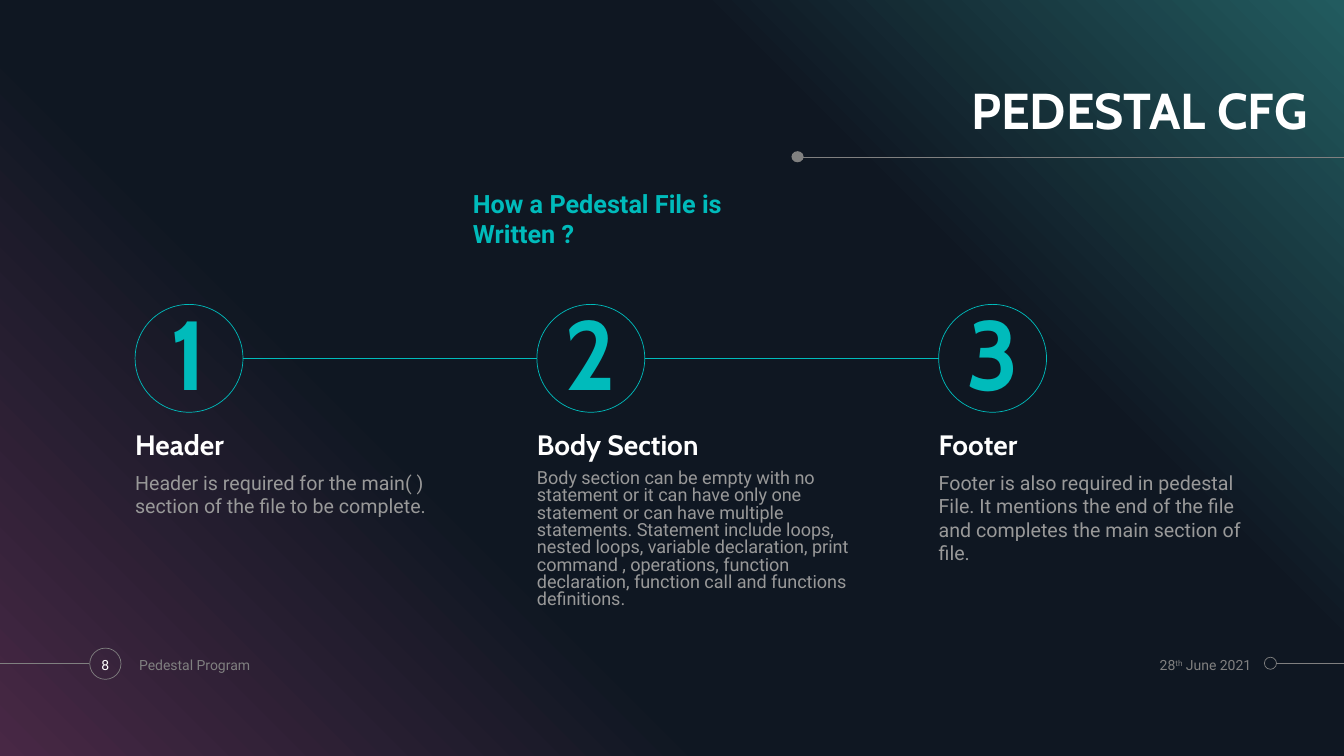
from dataclasses import dataclass

from lxml import etree
from pptx import Presentation
from pptx.dml.color import RGBColor
from pptx.enum import shapes, text
from pptx.oxml import ns
from pptx.util import Inches, Pt

ALIGN = text.PP_ALIGN
ANCHOR = text.MSO_ANCHOR


@dataclass(frozen=True)
class Theme:
    white: str = "FFFFFF"
    teal: str = "00BBBB"
    grey: str = "808080"
    body: str = "999999"
    backdrop: tuple = ((0, "482845"), (34, "0F1722"), (69, "0F1722"), (100, "225B5F"))
    heading_font: str = "Cabin"
    text_font: str = "Roboto"
    title_size: float = 36
    subtitle_size: float = 18
    number_size: float = 70
    heading_size: float = 20
    body_size: float = 14
    dense_size: float = 12.9
    footer_size: float = 10
    hairline: float = 0.5


T = Theme()
STEP_LEFT, STEP_PITCH = 1.34, 3.985
STEP_TOP, STEP_SIZE = 3.02, 1.07
FOOTER_TOP, FOOTER_HEIGHT = 6.43, 0.33
STEPS = (
    ("Header", "Header is required for the main( ) section of the file to be complete.",
     T.body_size, 1),
    ("Body Section",
     "Body section can be empty with no statement or it can have only one statement "
     "or can have multiple statements. Statement include loops, nested loops, variable "
     "declaration, print command , operations, function declaration, function call and "
     "functions definitions.", T.dense_size, 0.8),
    ("Footer",
     "Footer is also required in pedestal File. It mentions the end of the file and "
     "completes the main section of file.", T.body_size, 1),
)


def rgb(color):
    return RGBColor.from_string(color)


def add_backdrop(s, prs):
    """Cover the slide with a diagonal gradient of the theme's colour stops."""
    sp = s.shapes.add_shape(shapes.MSO_SHAPE.RECTANGLE, 0, 0,
                            prs.slide_width, prs.slide_height)
    sp.shadow.inherit = False
    sp.line.fill.background()
    sp.fill.gradient()
    sp.fill.gradient_angle = 45
    stops = sp._element.spPr.find(".//" + ns.qn("a:gsLst"))
    for stop in list(stops):
        stops.remove(stop)
    for percent, color in T.backdrop:
        stop = etree.SubElement(stops, ns.qn("a:gs"), pos=str(percent * 1000))
        etree.SubElement(stop, ns.qn("a:srgbClr"), val=color)


def add_line(s, x1, y1, x2, y2, color=T.grey):
    line = s.shapes.add_connector(shapes.MSO_CONNECTOR.STRAIGHT, Inches(x1), Inches(y1),
                                  Inches(x2), Inches(y2))
    line.line.color.rgb = rgb(color)
    line.line.width = Pt(T.hairline)
    etree.SubElement(line._element.spPr, ns.qn("a:effectLst"))


def add_circle(s, x, y, w, h, color=T.grey, filled=False):
    sp = s.shapes.add_shape(shapes.MSO_SHAPE.OVAL, Inches(x), Inches(y),
                            Inches(w), Inches(h))
    sp.shadow.inherit = False
    if filled:
        sp.fill.solid()
        sp.fill.fore_color.rgb = rgb(color)
        sp.line.fill.background()
    else:
        sp.fill.background()
        sp.line.color.rgb = rgb(color)
        sp.line.width = Pt(T.hairline)
    return sp


def set_text(sp, words, size, color, font=T.text_font, bold=False, align=ALIGN.LEFT,
             anchor=ANCHOR.TOP, spacing=1):
    """Fill a shape with one paragraph and return that paragraph."""
    tf = sp.text_frame
    tf.word_wrap = True
    tf.vertical_anchor = anchor
    tf.margin_left = tf.margin_right = tf.margin_top = tf.margin_bottom = 0
    p = tf.paragraphs[0]
    p.alignment = align
    p.line_spacing = spacing
    p.font.name = font
    p.font.size = Pt(size)
    p.font.bold = bold
    p.font.color.rgb = rgb(color)
    p.add_run().text = words
    return p


def add_text(s, x, y, w, h, words, size, color, **style):
    sp = s.shapes.add_textbox(Inches(x), Inches(y), Inches(w), Inches(h))
    return set_text(sp, words, size, color, **style)


def add_step(s, index, heading, body, size, spacing):
    x = STEP_LEFT + index * STEP_PITCH
    sp = add_circle(s, x, STEP_TOP, STEP_SIZE, STEP_SIZE, T.teal)
    set_text(sp, str(index + 1), T.number_size, T.teal, font=T.heading_font, bold=True,
             align=ALIGN.CENTER, anchor=ANCHOR.MIDDLE, spacing=0.9)
    add_text(s, x, 4.22, 3.22, 0.36, heading, T.heading_size, T.white,
             font=T.heading_font, bold=True, anchor=ANCHOR.BOTTOM, spacing=0.9)
    add_text(s, x, 4.67, 3.22, 1.55, body, size, T.body, spacing=spacing)
    if index < len(STEPS) - 1:
        add_line(s, x + STEP_SIZE, 3.56, x + STEP_PITCH, 3.56, T.teal)


def add_footer(s):
    add_line(s, 12.66, 6.58, 13.33, 6.58)
    add_circle(s, 12.54, 6.52, 0.12, 0.12)
    add_line(s, 0, 6.58, 0.88, 6.58)
    add_circle(s, 0.89, 6.43, 0.31, 0.31)
    add_text(s, 0.85, FOOTER_TOP, 0.39, FOOTER_HEIGHT, "8", T.footer_size, T.white,
             align=ALIGN.CENTER, anchor=ANCHOR.MIDDLE)
    add_text(s, 1.38, FOOTER_TOP, 3, FOOTER_HEIGHT, "Pedestal Program", T.footer_size,
             T.grey, anchor=ANCHOR.MIDDLE)
    p = add_text(s, 10.95, FOOTER_TOP, 1.46, FOOTER_HEIGHT, "28", T.footer_size, T.grey,
                 align=ALIGN.RIGHT, anchor=ANCHOR.MIDDLE)
    r = p.add_run()
    r.text = "th"
    r.font._element.set("baseline", "30000")
    p.add_run().text = " June 2021"


def main():
    prs = Presentation()
    prs.slide_width, prs.slide_height = Inches(13.33), Inches(7.5)
    s = prs.slides.add_slide(prs.slide_layouts[6])
    add_backdrop(s, prs)
    add_line(s, 13.33, 1.56, 7.94, 1.56)
    add_circle(s, 7.85, 1.5, 0.12, 0.11, filled=True)
    add_text(s, 6.07, 0.77, 6.9, 0.62, "PEDESTAL CFG", T.title_size, T.white,
             font=T.heading_font, bold=True, align=ALIGN.RIGHT, anchor=ANCHOR.BOTTOM,
             spacing=0.9)
    add_text(s, 4.69, 1.87, 3.42, 0.62, "How a Pedestal File is Written ?",
             T.subtitle_size, T.teal, bold=True)
    for index, step in enumerate(STEPS):
        add_step(s, index, *step)
    add_footer(s)
    prs.save("out.pptx")


if __name__ == "__main__":
    main()
